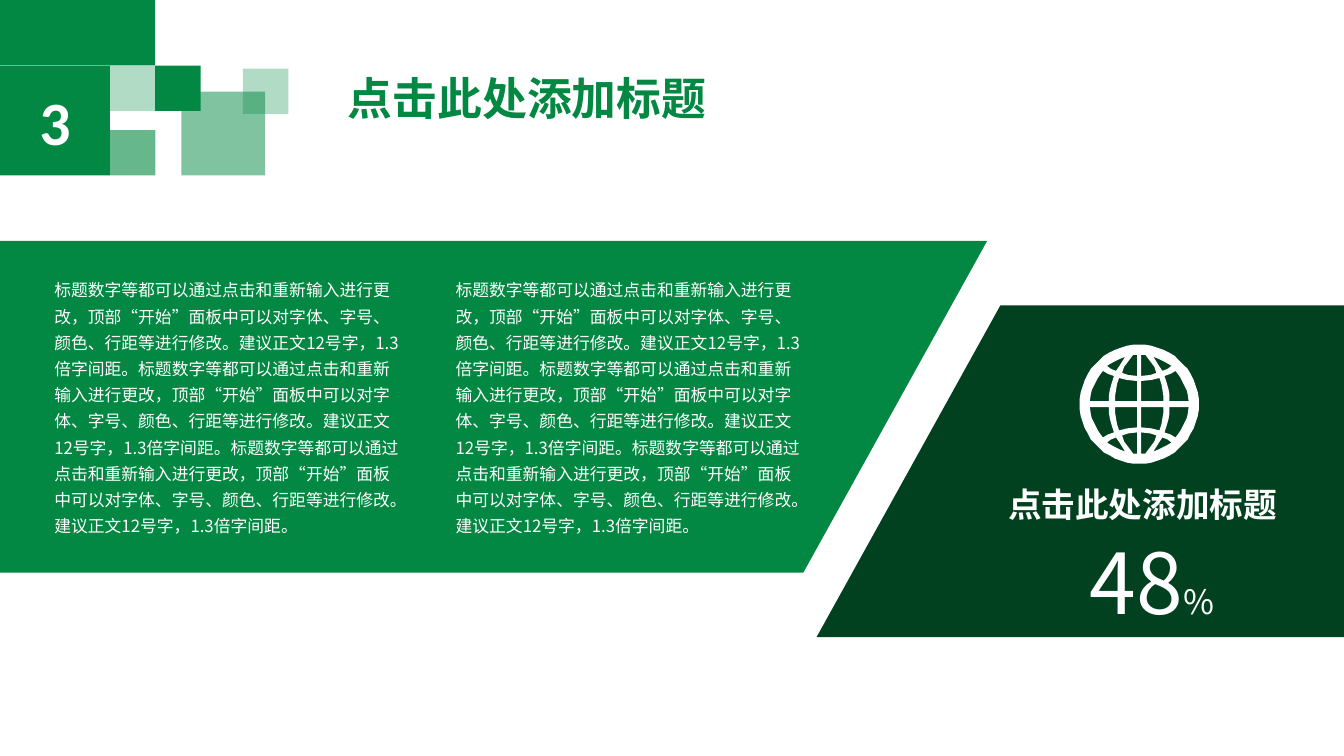
from dataclasses import dataclass
from itertools import product
from math import cos, radians, sin

from lxml import etree
from pptx import Presentation
from pptx.dml.color import RGBColor
from pptx.enum.lang import MSO_LANGUAGE_ID
from pptx.enum.shapes import MSO_SHAPE
from pptx.enum.text import MSO_ANCHOR, MSO_AUTO_SIZE, PP_ALIGN
from pptx.oxml.ns import qn
from pptx.util import Inches, Pt

RECTANGLE = MSO_SHAPE.RECTANGLE
PARALLELOGRAM = MSO_SHAPE.PARALLELOGRAM
MIDDLE = MSO_ANCHOR.MIDDLE
CENTER = PP_ALIGN.CENTER
LEFT = PP_ALIGN.LEFT
FIT_SHAPE = MSO_AUTO_SIZE.SHAPE_TO_FIT_TEXT
NO_FIT = MSO_AUTO_SIZE.NONE
CHINESE = MSO_LANGUAGE_ID.SIMPLIFIED_CHINESE

WIDTH, HEIGHT = Inches(13.33), Inches(7.5)
TITLE_ONLY = 5


@dataclass(frozen=True)
class Theme:
    """Colours, fonts and type sizes of the slide."""
    green: str = "028842"
    dark: str = "01411F"
    white: str = "FFFFFF"
    text_font: str = "Noto Sans CJK SC"
    number_font: str = "Calibri"
    figure: int = 60
    number: int = 44
    title: int = 32
    subtitle: int = 24
    body: int = 12


THEME = Theme()
HEADING = "点击此处添加标题"
ADVICE = ("标题数字等都可以通过点击和重新输入进行更改，顶部“开始”面板中可以对字体、字号、"
          "颜色、行距等进行修改。建议正文12号字，1.3倍字间距。")

BANDS = [((-26.4, 31.87, 99.85, 43.87), THEME.green),
         ((60.76, 40.4, 99.85, 43.87), THEME.dark)]
BAND_SLANT = 0.554

SMALL_TILE = (3.38, 6)
TILES = [((0, 0, 11.55, 8.67), 100),
         ((8.18, 8.67, *SMALL_TILE), 30),
         ((11.55, 8.67, *SMALL_TILE), 100),
         ((8.18, 17.2, *SMALL_TILE), 60),
         ((13.5, 12.13, 6.23, 11.07), 50),
         ((18.08, 9.07, *SMALL_TILE), 30)]

GLOBE_RADIUS = 59
GLOBE_QUARTER = [
    [(14, 47), (19, 45), (23, 43), (27, 41), (32, 38), (28, 35), (23, 33), (19, 39)],
    [(49, 3), (48, 10), (47, 14), (45, 18), (43, 22), (41, 26), (39, 29), (36, 33),
     (31, 30), (25, 28), (27, 22), (29, 15), (30, 9), (30, 3)],
    [(2, 23), (12, 24), (20, 26), (22, 20), (23, 14), (24, 8), (24.5, 3), (2, 3)],
    [(2, 49), (6, 49), (12, 41), (15, 37), (17, 31), (11, 29), (2, 28)],
]


def place(left, top, width, height):
    """Turn percentages of the slide into lengths."""
    return (int(WIDTH * left / 100), int(HEIGHT * top / 100),
            int(WIDTH * width / 100), int(HEIGHT * height / 100))


def paint(shape, colour, opacity=100):
    """Give a shape a flat fill without outline or shadow."""
    shape.shadow.inherit = False
    shape.line.fill.background()
    shape.fill.solid()
    shape.fill.fore_color.rgb = RGBColor.from_string(colour)
    if opacity < 100:
        tint = shape.fill._xPr.find(qn("a:solidFill"))[0]
        etree.SubElement(tint, qn("a:alpha")).set("val", str(opacity * 1000))


def add_block(page, kind, area, colour, opacity=100):
    """Add a flat preset shape."""
    block = page.shapes.add_shape(kind, *place(*area))
    paint(block, colour, opacity)
    return block


def style(span, size, colour=THEME.white, bold=False, font=THEME.text_font):
    """Format one run, with the same face for Latin and Chinese."""
    span.font.size = Pt(size)
    span.font.bold = bold
    span.font.color.rgb = RGBColor.from_string(colour)
    span.font.name = font
    span.font.language_id = CHINESE
    face = etree.SubElement(span._r.get_or_add_rPr(), qn("a:ea"))
    face.set("typeface", font)


def add_text(page, area, text, size, bold=False, spacing=None):
    """Add a wrapping text box and return its paragraph."""
    box = page.shapes.add_textbox(*place(*area))
    box.text_frame.word_wrap = True
    box.text_frame.auto_size = FIT_SHAPE
    para = box.text_frame.paragraphs[0]
    para.text = text
    para.line_spacing = spacing
    style(para.runs[0], size, bold=bold)
    return para


def set_title(page, area, text):
    """Place and format the title placeholder."""
    title = page.shapes.title
    title.left, title.top, title.width, title.height = place(*area)
    frame = title.text_frame
    frame.text = text
    frame.auto_size = NO_FIT
    frame.vertical_anchor = MIDDLE
    para = frame.paragraphs[0]
    para.alignment = LEFT
    para.line_spacing = 0.9
    style(para.runs[0], THEME.title, THEME.green, bold=True)


def add_number(page, area, text):
    """Add the tile that carries the section number."""
    tile = add_block(page, RECTANGLE, area, THEME.green)
    tile.text_frame.vertical_anchor = MIDDLE
    para = tile.text_frame.paragraphs[0]
    para.text = text
    para.alignment = CENTER
    style(para.runs[0], THEME.number, bold=True, font=THEME.number_font)


def add_globe(page, centre_x, centre_y, radius):
    """Draw a disc with one quarter's openings mirrored into all four."""
    disc = [(GLOBE_RADIUS * cos(radians(angle)), GLOBE_RADIUS * sin(radians(angle)))
            for angle in range(0, 360, 6)]
    openings = [[(x * across, y * down) for x, y in opening]
                for across, down in product((-1, 1), repeat=2)
                for opening in GLOBE_QUARTER]
    scale = HEIGHT * radius / 100 / GLOBE_RADIUS
    outline = page.shapes.build_freeform(*disc[0], scale=scale)
    outline.add_line_segments(disc[1:], close=True)
    for first, *rest in openings:
        outline.move_to(*first)
        outline.add_line_segments(rest, close=True)
    left, top, _, _ = place(centre_x, centre_y, 0, 0)
    paint(outline.convert_to_shape(left, top), THEME.white)


def main():
    """Build the slide and save the deck."""
    deck = Presentation()
    deck.slide_width, deck.slide_height = WIDTH, HEIGHT
    page = deck.slides.add_slide(deck.slide_layouts[TITLE_ONLY])

    for area, colour in BANDS:
        add_block(page, PARALLELOGRAM, area, colour).adjustments[0] = BAND_SLANT
    for area, opacity in TILES:
        add_block(page, RECTANGLE, area, THEME.green, opacity)

    set_title(page, (25.13, 9.33, 28.43, 8), HEADING)
    add_number(page, (0, 8.67, 8.18, 14.53), "3")
    for left in (3.3, 33.16):
        add_text(page, (left, 35.6, 27.46, 43.33), ADVICE * 3, THEME.body, spacing=1.3)

    add_globe(page, 84.77, 53.47, 7.87)
    add_text(page, (74.27, 63.33, 23.1, 6.67), HEADING, THEME.subtitle, bold=True)
    figure = add_text(page, (80.35, 69.47, 12.45, 14.8), "48", THEME.figure)
    percent = figure.add_run()
    percent.text = "%"
    style(percent, THEME.subtitle)

    deck.save("out.pptx")


if __name__ == "__main__":
    main()
